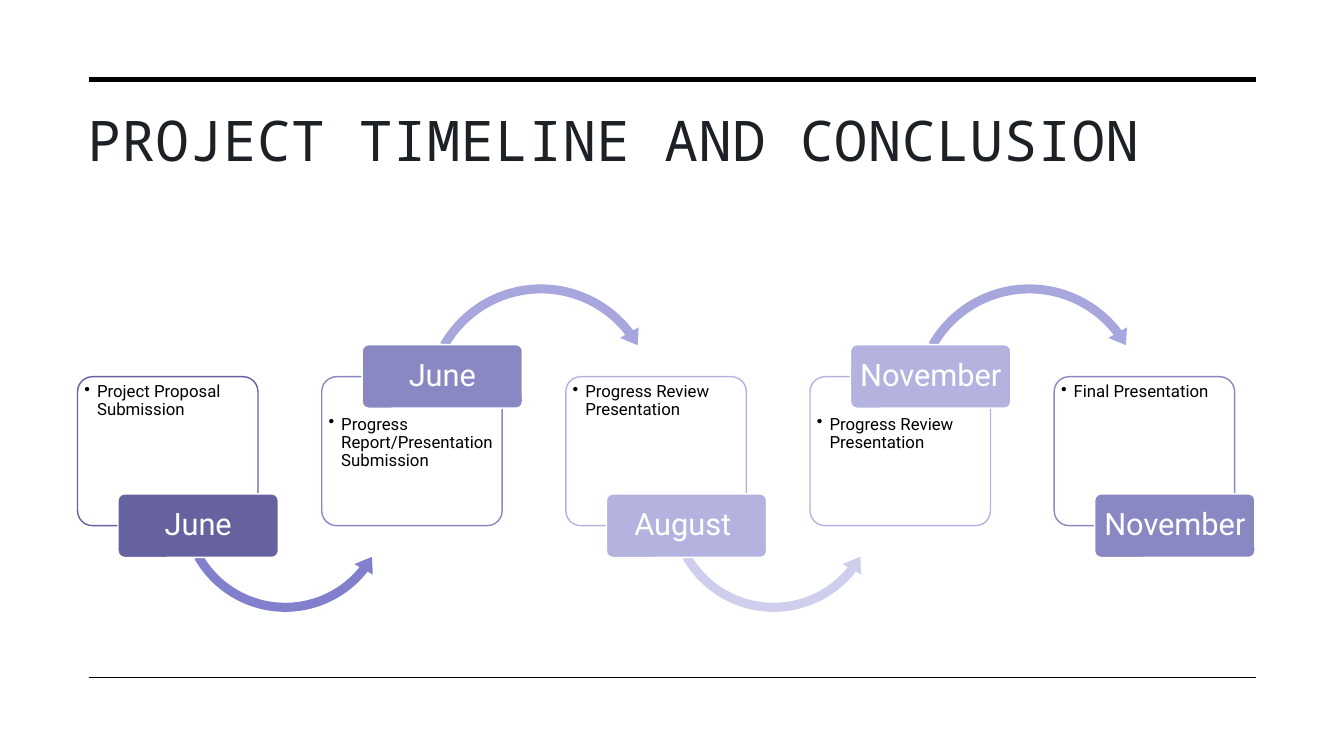
from lxml import etree
from pptx import Presentation
from pptx.dml.color import RGBColor
from pptx.enum.shapes import MSO_CONNECTOR, MSO_SHAPE
from pptx.enum.text import MSO_ANCHOR, PP_ALIGN
from pptx.oxml.ns import qn
from pptx.util import Pt

ROUNDED = MSO_SHAPE.ROUNDED_RECTANGLE
STRAIGHT = MSO_CONNECTOR.STRAIGHT
TOP, MIDDLE = MSO_ANCHOR.TOP, MSO_ANCHOR.MIDDLE
LEFT, CENTER = PP_ALIGN.LEFT, PP_ALIGN.CENTER

COLORS = {
    "black": "000000",
    "white": "FFFFFF",
    "title": "1D2125",
    "dark": "65629F",
    "medium": "8A88C2",
    "light": "B4B3DF",
    "arrow_dark": "827FCD",
    "arrow_medium": "A8A7DD",
    "arrow_light": "CFCEEC",
}
ARROWS = {
    "below": (MSO_SHAPE.LEFT_CIRCULAR_ARROW, 283.7, 157.7, (0.041, 5.204, 22.959, 90.245, 0.048)),
    "above": (MSO_SHAPE.CIRCULAR_ARROW, 198.7, 174.2, (0.037, 4.667, 193.578, 125.755, 0.044)),
}
BADGE_TOPS = {"below": 352.8, "above": 246.2}
TASK_TOPS = {"below": 271.4, "above": 294.5}
FIRST_LEFT, STEP = 55.4, 174.4

milestones = [
    ("June", "Project Proposal Submission", "dark", "arrow_dark", "below"),
    ("June", "Progress Report/Presentation Submission", "medium", "arrow_medium", "above"),
    ("August ", "Progress Review Presentation", "light", "arrow_light", "below"),
    ("November", "Progress Review Presentation", "light", "arrow_medium", "above"),
    ("November ", "Final Presentation", "medium", None, "below"),
]

presentation = Presentation()
presentation.slide_width, presentation.slide_height = Pt(960), Pt(540)
slide = presentation.slides.add_slide(presentation.slide_layouts[6])


def add_shape(kind, box, adjustments, fill, line=None):
    shape = slide.shapes.add_shape(kind, *map(Pt, box))
    shape.shadow.inherit = False
    for index, value in enumerate(adjustments):
        shape.adjustments[index] = value
    shape.fill.solid()
    shape.fill.fore_color.rgb = RGBColor.from_string(COLORS[fill])
    if line:
        shape.line.color.rgb = RGBColor.from_string(COLORS[line])
        shape.line.width = Pt(1)
    else:
        shape.line.fill.background()
    return shape


def add_text(box, text, font_name, size, color, insets, anchor, alignment, spacing):
    text_box = slide.shapes.add_textbox(*map(Pt, box))
    frame = text_box.text_frame
    side, edge = map(Pt, insets)
    frame_format = {
        "word_wrap": True, "vertical_anchor": anchor,
        "margin_left": side, "margin_right": side,
        "margin_top": edge, "margin_bottom": edge,
    }
    for name, value in frame_format.items():
        setattr(frame, name, value)
    paragraph = frame.paragraphs[0]
    paragraph.alignment = alignment
    paragraph.line_spacing = spacing
    run = paragraph.add_run()
    run.text = text
    for name, value in {"name": font_name, "size": Pt(size)}.items():
        setattr(run.font, name, value)
    run.font.color.rgb = RGBColor.from_string(COLORS[color])
    return paragraph


for y, width in [(56.9, 3.5), (483.8, 1)]:
    rule = slide.shapes.add_connector(STRAIGHT, Pt(63.4), Pt(y), Pt(897.1), Pt(y))
    rule.line.color.rgb = RGBColor.from_string(COLORS["black"])
    rule.line.width = Pt(width)
    etree.SubElement(rule._element.spPr, qn("a:effectLst"))

title = add_text((55.4, 72, 841.7, 103), "PROJECT TIMELINE AND CONCLUSION",
                 "Noto Sans Mono", 40, "title", (7.2, 3.6), TOP, LEFT, 1.0)
title.runs[0].font._element.set("spc", "30")

for index, (month, task, color, arrow_color, side) in enumerate(milestones):
    left = FIRST_LEFT + index * STEP

    card = add_shape(ROUNDED, (left, 269.1, 128.9, 106.4), [0.1], "white", color)
    card_color = card.fill._xPr.find(qn("a:solidFill"))[0]
    etree.SubElement(card_color, qn("a:alpha"), val="90000")

    paragraph = add_text((left + 2.5, TASK_TOPS[side], 123.8, 78.5), task,
                         "Roboto", 12, "black", (2.4, 2.4), TOP, LEFT, 0.9)
    properties = paragraph._p.get_or_add_pPr()
    properties.set("marL", str(Pt(9)))
    properties.set("indent", str(Pt(-9)))
    etree.SubElement(properties, qn("a:buChar"), char="•")

    if arrow_color:
        kind, top, size, adjustments = ARROWS[side]
        add_shape(kind, (left + 69.5, top, size, size), adjustments, arrow_color)

    badge_top = BADGE_TOPS[side]
    add_shape(ROUNDED, (left + 28.9, badge_top, 114.5, 45.4), [0.1], color, "white")
    add_text((left + 30.2, badge_top + 1.3, 112, 43), month,
             "Roboto", 22, "white", (3.4, 2.2), MIDDLE, CENTER, 0.9)

presentation.save("out.pptx")
